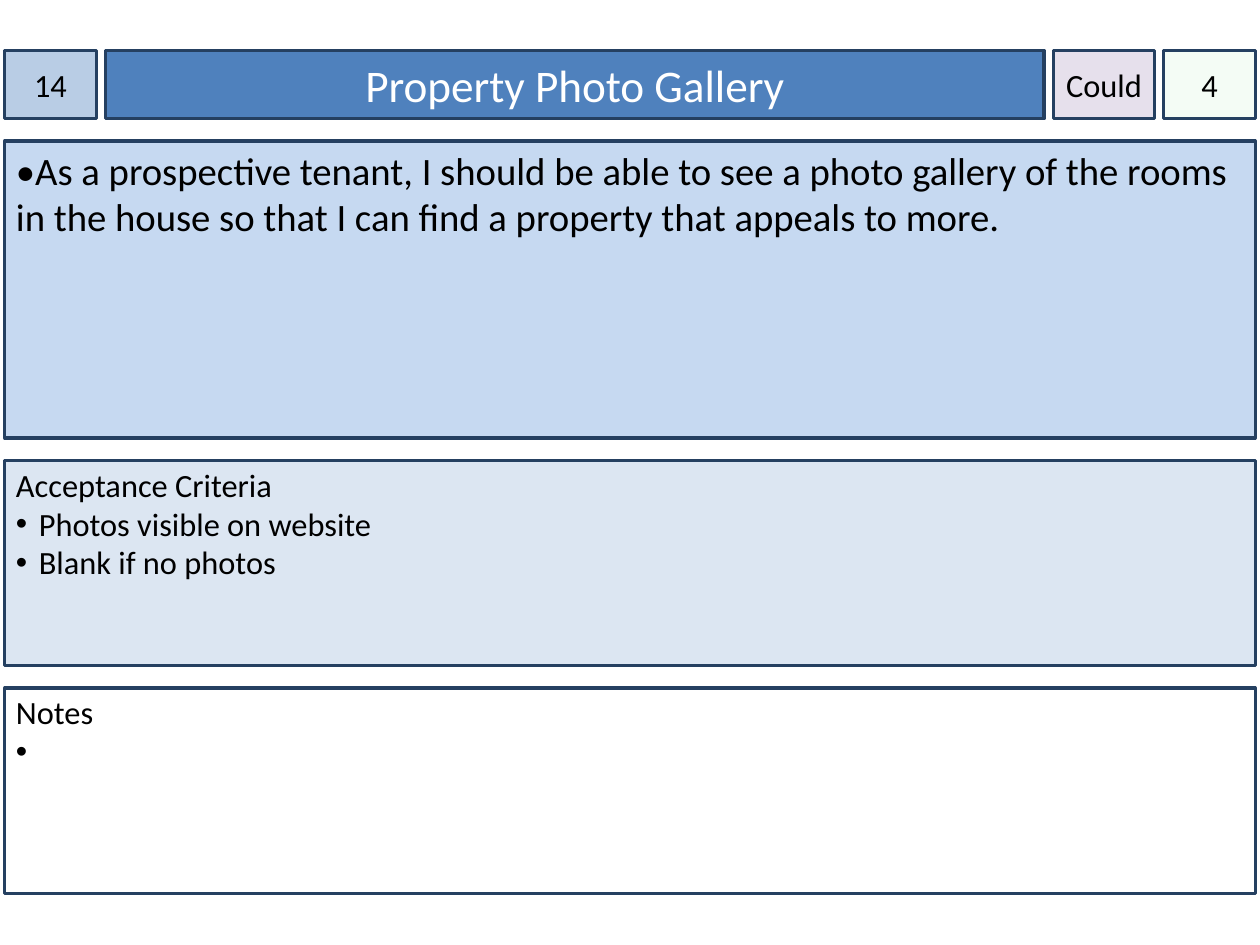
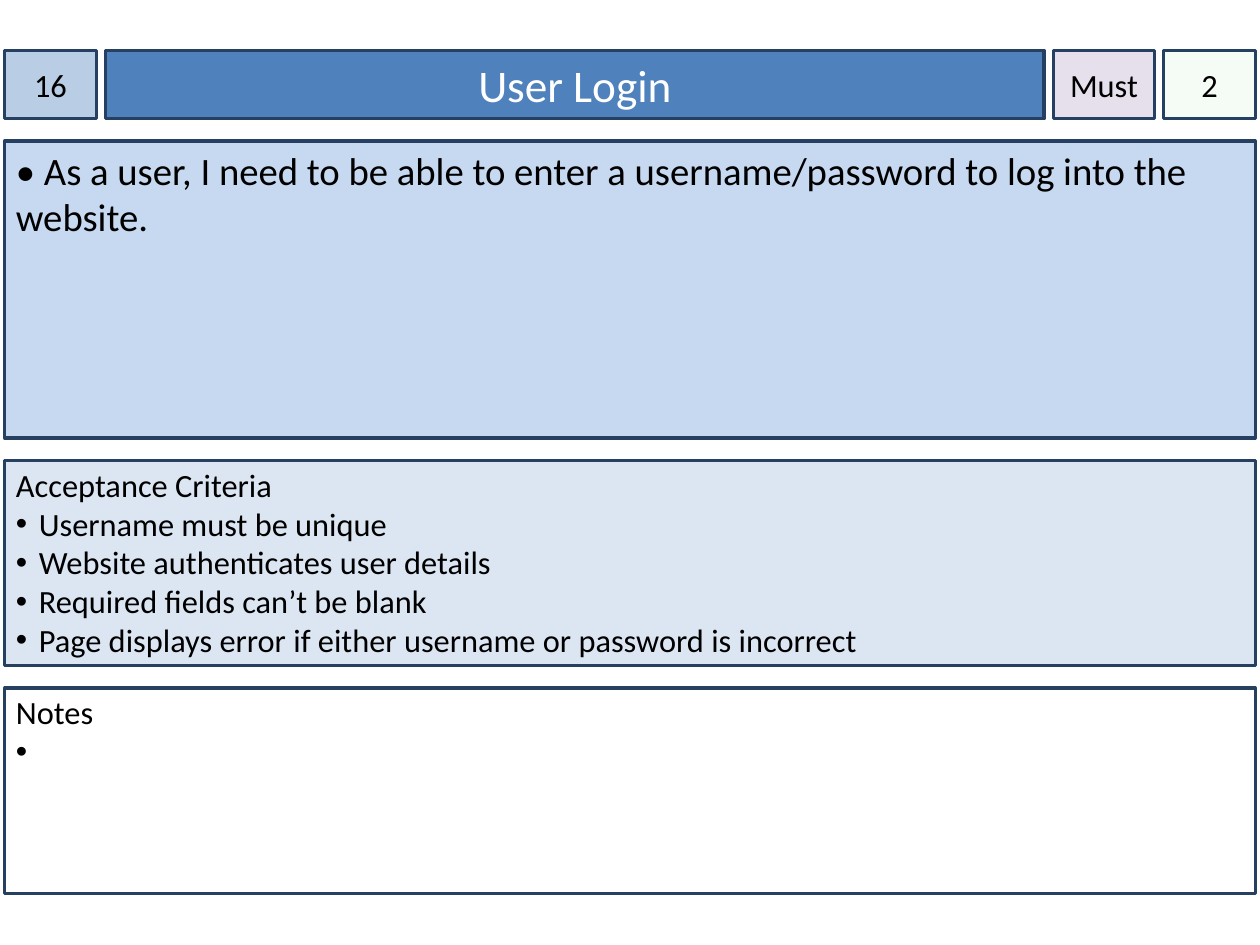
import pptx
import pptx.dml.color
import pptx.enum.shapes
import pptx.enum.text
import pptx.oxml.ns
import pptx.util
from lxml import etree

Pt = pptx.util.Pt
ALIGN = pptx.enum.text.PP_ALIGN
ANCHOR = pptx.enum.text.MSO_ANCHOR

SLIDE_WIDTH, SLIDE_HEIGHT = 793.75, 595.25
MARGIN = 3
CONTENT_WIDTH = SLIDE_WIDTH - 2 * MARGIN
HEADER_TOP, HEADER_HEIGHT, HEADER_GAP = 31.7, 43.2, 6
NUMBER_WIDTH, PRIORITY_WIDTH = 57.6, 63.4
TITLE_WIDTH = CONTENT_WIDTH - 2 * NUMBER_WIDTH - PRIORITY_WIDTH - 3 * HEADER_GAP
STORY_HEIGHT, LIST_HEIGHT, PANEL_GAP = 187.2, 129.6, 13.9
BULLET_INDENT = 14.4

STORIES = [
    {
        "number": "14",
        "title": "Property Photo Gallery",
        "priority": "Could",
        "estimate": "4",
        "story": "•As a prospective tenant, I should be able to see a photo gallery of the "
                 "rooms in the house so that I can find a property that appeals to more.",
        "criteria": ["Photos visible on website", "Blank if no photos"],
    },
    {
        "number": "16",
        "title": "User Login",
        "priority": "Must",
        "estimate": "2",
        "story": "• As a user, I need to be able to enter a username/password to log "
                 "into the website.",
        "criteria": [
            "Username must be unique",
            "Website authenticates user details",
            "Required fields can’t be blank",
            "Page displays error if either username or password is incorrect",
        ],
    },
]


def color(value):
    return pptx.dml.color.RGBColor.from_string(value)


def add_child(parent, tag, **attributes):
    return etree.SubElement(parent, pptx.oxml.ns.qn(tag), attributes)


def write_text(paragraph, text, size=20.4, ink="000000", align=ALIGN.LEFT, bullet=False):
    paragraph.alignment = align
    if bullet:
        properties = paragraph._p.get_or_add_pPr()
        properties.set("marL", str(Pt(BULLET_INDENT)))
        properties.set("indent", str(-Pt(BULLET_INDENT)))
        add_child(properties, "a:buFont", typeface="Arial")
        add_child(properties, "a:buChar", char="•")
    run = paragraph.add_run()
    run.text = text
    run.font.name = "Calibri"
    run.font.size = Pt(size)
    run.font.color.rgb = color(ink)


class StoryDeck:
    border = "254061"

    def __init__(self):
        self.presentation = pptx.Presentation()
        self.presentation.slide_width = Pt(SLIDE_WIDTH)
        self.presentation.slide_height = Pt(SLIDE_HEIGHT)
        self.slide = None

    def box(self, left, top, width, height, fill, opacity=100, anchor=ANCHOR.TOP,
            side_inset=7.2, top_inset=3.6, wrap=True):
        """Add a bordered rectangle and return its text frame."""
        shape = self.slide.shapes.add_shape(
            pptx.enum.shapes.MSO_SHAPE.RECTANGLE, Pt(left), Pt(top), Pt(width), Pt(height))
        shape.shadow.inherit = False
        shape.fill.solid()
        shape.fill.fore_color.rgb = color(fill)
        if opacity < 100:
            fill_color = shape._element.spPr.find(".//" + pptx.oxml.ns.qn("a:srgbClr"))
            add_child(fill_color, "a:alpha", val=str(opacity * 1000))
        shape.line.color.rgb = color(self.border)
        shape.line.width = Pt(2)
        frame = shape.text_frame
        frame.word_wrap = wrap
        frame.vertical_anchor = anchor
        frame.margin_left = frame.margin_right = Pt(side_inset)
        frame.margin_top, frame.margin_bottom = Pt(top_inset), Pt(3.6)
        return frame

    def header(self, number, title, priority, estimate):
        cells = [
            (number, NUMBER_WIDTH, {"fill": "B9CDE5", "side_inset": 0}, {}),
            (title, TITLE_WIDTH, {"fill": "4F81BD"}, {"size": 28.5, "ink": "FFFFFF"}),
            (priority, PRIORITY_WIDTH,
             {"fill": "E6E0EC", "side_inset": 0, "wrap": False}, {}),
            (estimate, NUMBER_WIDTH,
             {"fill": "CCF0CD", "opacity": 20, "side_inset": 0}, {}),
        ]
        left = MARGIN
        for text, width, box_style, text_style in cells:
            frame = self.box(left, HEADER_TOP, width, HEADER_HEIGHT,
                             anchor=ANCHOR.MIDDLE, **box_style)
            write_text(frame.paragraphs[0], text, align=ALIGN.CENTER, **text_style)
            left += width + HEADER_GAP

    def story_panel(self, top, story):
        frame = self.box(MARGIN, top, CONTENT_WIDTH, STORY_HEIGHT, "C6D9F1")
        write_text(frame.paragraphs[0], story, size=24.4)

    def list_panel(self, top, heading, items, fill):
        frame = self.box(MARGIN, top, CONTENT_WIDTH, LIST_HEIGHT, fill, top_inset=2.9)
        write_text(frame.paragraphs[0], heading)
        for item in items:
            write_text(frame.add_paragraph(), item, bullet=True)

    def story_slide(self, number, title, priority, estimate, story, criteria):
        self.slide = self.presentation.slides.add_slide(self.presentation.slide_layouts[6])
        self.header(number, title, priority, estimate)
        top = HEADER_TOP + HEADER_HEIGHT + PANEL_GAP
        self.story_panel(top, story)
        top += STORY_HEIGHT + PANEL_GAP
        self.list_panel(top, "Acceptance Criteria", criteria, "DCE6F2")
        top += LIST_HEIGHT + PANEL_GAP
        self.list_panel(top, "Notes", [" "], "FFFFFF")


def main():
    deck = StoryDeck()
    for story in STORIES:
        deck.story_slide(**story)
    deck.presentation.save("out.pptx")


if __name__ == "__main__":
    main()
